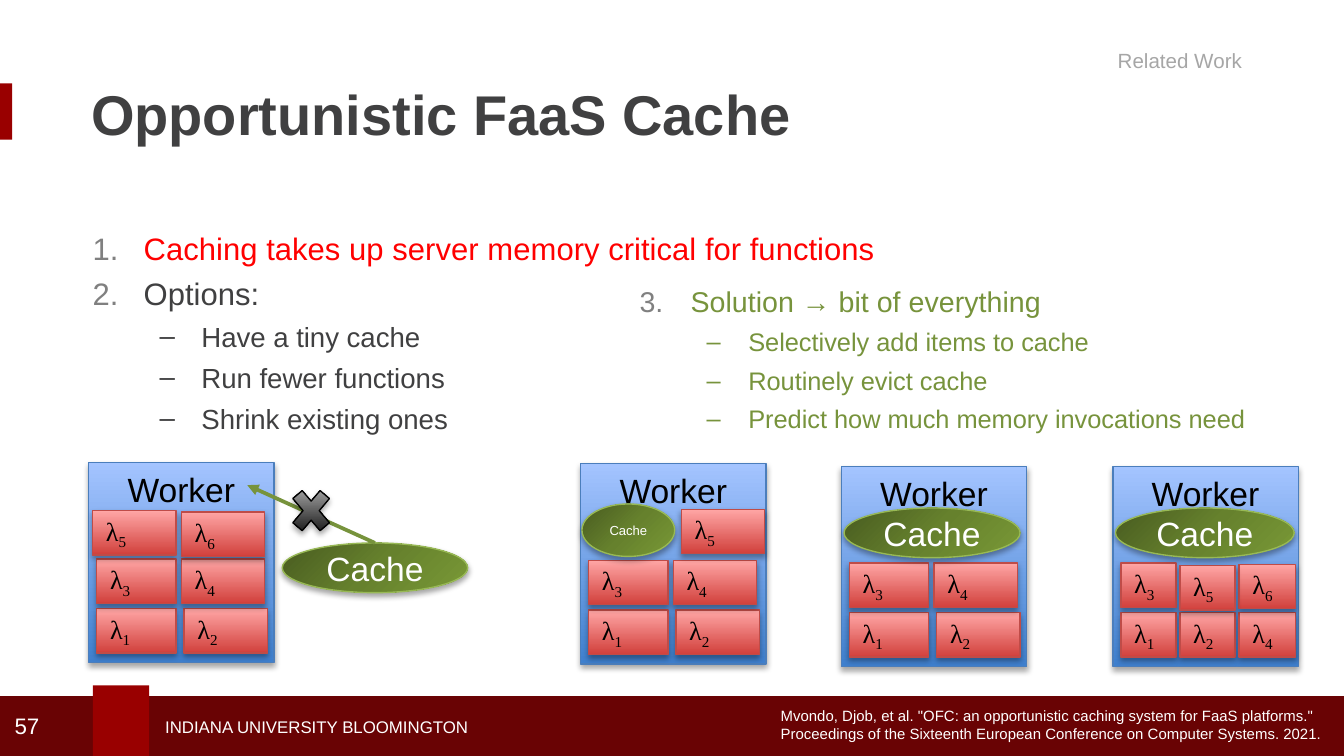
import dataclasses

import lxml.etree
import pptx
import pptx.dml.color
import pptx.enum.shapes
import pptx.enum.text
import pptx.oxml.ns
import pptx.util

Inches = pptx.util.Inches
Pt = pptx.util.Pt
qn = pptx.oxml.ns.qn
Shape = pptx.enum.shapes.MSO_SHAPE
Align = pptx.enum.text.PP_ALIGN
Anchor = pptx.enum.text.MSO_ANCHOR


@dataclasses.dataclass(frozen=True)
class Theme:
    font: str = "Arial"
    symbol_font: str = "Times New Roman"
    # Colours
    crimson: str = "990000"
    maroon: str = "690304"
    white: str = "FFFFFF"
    black: str = "000000"
    dark: str = "404041"
    muted: str = "A6A6A6"
    number: str = "808080"
    red: str = "FF0000"
    green: str = "77933C"
    # Gradient stops, angle in degrees, outline
    worker: tuple = (((0, "3F80CE"), (100, "A4C4FF")), 270, "4B7EBC")
    function: tuple = (((0, "D1403C"), (100, "FFA6A5")), 270, "BF4C48")
    cache: tuple = (((0, "485B20"), (50, "66812D"), (100, "799936")), 45, "98B955")
    cross: tuple = (((0, "000000"), (100, "BDBDBD")), 270, "000000")
    # Type sizes
    title: float = 30
    label: float = 18
    symbol: float = 14
    page: float = 12
    section: float = 11
    footer: float = 9
    citation: float = 8
    small_cache: float = 7
    left_list: tuple = (16.65, 14.8)
    right_list: tuple = (15.3, 13.6)


THEME = Theme()


def rgb(color):
    return pptx.dml.color.RGBColor.from_string(color)


def add_xml(parent, tag, **attributes):
    element = lxml.etree.SubElement(parent, qn(tag))
    for name, value in attributes.items():
        element.set(name, str(value))
    return element


def write_text(paragraph, text, *, size, color, font=THEME.font, bold=False,
               align=None, subscript=False):
    run = paragraph.add_run()
    run.text = text
    run.font.name = font
    run.font.size = Pt(size)
    run.font.bold = bold
    run.font.color.rgb = rgb(color)
    if align is not None:
        paragraph.alignment = align
    if subscript:
        run._r.get_or_add_rPr().set("baseline", "-25000")


def add_box(slide, box, anchor=Anchor.TOP):
    frame = slide.shapes.add_textbox(*map(Inches, box)).text_frame
    frame.word_wrap = True
    frame.vertical_anchor = anchor
    return frame


def add_label(slide, box, *lines, anchor=Anchor.TOP, **text_format):
    frame = add_box(slide, box, anchor)
    for index, line in enumerate(lines):
        paragraph = frame.add_paragraph() if index else frame.paragraphs[0]
        write_text(paragraph, line, **text_format)


def add_bar(slide, box, color):
    shape = slide.shapes.add_shape(Shape.RECTANGLE, *map(Inches, box))
    shape.shadow.inherit = False
    shape.fill.solid()
    shape.fill.fore_color.rgb = rgb(color)
    shape.line.fill.background()


def add_glossy(slide, kind, box, style, anchor=Anchor.MIDDLE):
    """Add a gradient shape with a soft shadow; return its first paragraph."""
    stops, angle, outline = style
    shape = slide.shapes.add_shape(kind, *map(Inches, box))
    shape.fill.gradient()
    shape.fill.gradient_angle = 360 - angle
    stop_list = shape._element.spPr.find(".//" + qn("a:gsLst"))
    for stop in list(stop_list):
        stop_list.remove(stop)
    for position, color in stops:
        stop = add_xml(stop_list, "a:gs", pos=position * 1000)
        add_xml(stop, "a:srgbClr", val=color)
    shape.line.color.rgb = rgb(outline)
    shape.line.width = Pt(0.75)
    # Shadow
    shape.shadow.inherit = False
    effects = shape._element.spPr.find(qn("a:effectLst"))
    shadow = add_xml(effects, "a:outerShdw", blurRad=Pt(3.1), dist=Pt(1.8),
                     dir=90 * 60000, rotWithShape=0)
    shade = add_xml(shadow, "a:srgbClr", val=THEME.black)
    add_xml(shade, "a:alpha", val=35000)
    shape.text_frame.word_wrap = True
    shape.text_frame.vertical_anchor = anchor
    return shape.text_frame.paragraphs[0]


def add_worker(slide, left, top, functions):
    """functions holds (number, x, y, width), measured from the worker's corner."""
    paragraph = add_glossy(slide, Shape.RECTANGLE, (left, top, 1.38, 1.49),
                           THEME.worker, Anchor.TOP)
    write_text(paragraph, "Worker", size=THEME.label, color=THEME.black, align=Align.CENTER)
    for number, x, y, width in functions:
        paragraph = add_glossy(slide, Shape.RECTANGLE, (left + x, top + y, width, 0.33),
                               THEME.function)
        for text, subscript in (("λ", False), (str(number), True)):
            write_text(paragraph, text, size=THEME.symbol, color=THEME.black,
                       font=THEME.symbol_font, align=Align.LEFT, subscript=subscript)


def add_cache(slide, box, size=THEME.label):
    paragraph = add_glossy(slide, Shape.OVAL, box, THEME.cache)
    write_text(paragraph, "Cache", size=size, color=THEME.white, align=Align.CENTER)


def add_list(slide, box, items, sizes, start=1):
    """items holds (level, text, color); level 0 is numbered, level 1 has dashes."""
    frame = add_box(slide, box)
    for index, (level, text, color) in enumerate(items):
        paragraph = frame.add_paragraph() if index else frame.paragraphs[0]
        paragraph.level = level
        paragraph.line_spacing = 0.9
        paragraph.space_after = Pt(6)
        properties = paragraph._p.get_or_add_pPr()
        margin, hanging = ((0.38, 0.38), (0.81, 0.31))[level]
        properties.set("marL", str(Inches(margin)))
        properties.set("indent", str(-Inches(hanging)))
        bullet_color = add_xml(properties, "a:buClr")
        add_xml(bullet_color, "a:srgbClr", val=color if level else THEME.number)
        add_xml(properties, "a:buFont", typeface=THEME.font)
        if level:
            add_xml(properties, "a:buChar", char="–")
        else:
            add_xml(properties, "a:buAutoNum", type="arabicPeriod", startAt=start)
        write_text(paragraph, text, size=sizes[level], color=color)


def add_arrow(slide, start, end):
    arrow = slide.shapes.add_connector(pptx.enum.shapes.MSO_CONNECTOR.STRAIGHT,
                                       *map(Inches, start + end))
    arrow.line.color.rgb = rgb(THEME.green)
    arrow.line.width = Pt(2)
    add_xml(arrow.line._get_or_add_ln(), "a:tailEnd", type="triangle")
    add_xml(arrow._element.spPr, "a:effectLst")


def main():
    # Widescreen slide, 16:9
    presentation = pptx.Presentation()
    presentation.slide_width = Inches(10)
    presentation.slide_height = Inches(10) * 9 // 16
    slide = presentation.slides.add_slide(presentation.slide_layouts[6])

    # Header and footer
    add_bar(slide, (0, 0.62, 0.09, 0.42), THEME.crimson)
    add_bar(slide, (-0.03, 5.18, 10.09, 0.5), THEME.maroon)
    add_bar(slide, (0.69, 5.1, 0.42, 0.58), THEME.crimson)
    add_label(slide, (1.13, 5.28, 3.95, 0.25), "INDIANA UNIVERSITY BLOOMINGTON",
              anchor=Anchor.MIDDLE, size=THEME.footer, color=THEME.white)
    add_label(slide, (0.58, 0.46, 8.75, 0.76), "Opportunistic FaaS Cache",
              anchor=Anchor.MIDDLE, size=THEME.title, color=THEME.dark, bold=True)
    add_label(slide, (5.29, 0.31, 4.05, 0.28), "Related Work",
              size=THEME.section, color=THEME.muted, align=Align.RIGHT)
    add_label(slide, (0.01, 5.25, 0.58, 0.3), "57",
              anchor=Anchor.MIDDLE, size=THEME.page, color=THEME.white)
    add_label(slide, (5.71, 5.21, 4.28, 0.37),
              'Mvondo, Djob, et al. "OFC: an opportunistic caching system for FaaS platforms."',
              "Proceedings of the Sixteenth European Conference on Computer Systems. 2021.",
              size=THEME.citation, color=THEME.white)

    # Problem and solution lists
    options = ("Have a tiny cache", "Run fewer functions", "Shrink existing ones")
    add_list(slide, (0.59, 1.69, 6.18, 1.65),
             [(0, "Caching takes up server memory critical for functions", THEME.red),
              (0, "Options:", THEME.dark)] + [(1, text, THEME.dark) for text in options],
             THEME.left_list)
    steps = ("Selectively add items to cache", "Routinely evict cache",
             "Predict how much memory invocations need")
    add_list(slide, (4.66, 2.09, 5.01, 1.23),
             [(0, "Solution → bit of everything", THEME.green)]
             + [(1, text, THEME.green) for text in steps], THEME.right_list, start=3)

    # Full worker that rejects the cache
    four = [(1, 0.06, 1.09, 0.59), (2, 0.71, 1.09, 0.62),
            (3, 0.06, 0.72, 0.59), (4, 0.69, 0.72, 0.62)]
    add_worker(slide, 0.66, 3.44, four + [(6, 0.69, 0.37, 0.62), (5, 0.03, 0.36, 0.62)])
    add_cache(slide, (2.1, 4.04, 1.38, 0.37))
    add_arrow(slide, (2.79, 4.04), (1.84, 3.61))
    add_glossy(slide, Shape.MATH_MULTIPLY, (2.12, 3.57, 0.39, 0.46), THEME.cross)

    # Tiny cache, fewer functions, shrunken functions
    add_worker(slide, 4.32, 3.45, four + [(5, 0.75, 0.34, 0.62)])
    add_cache(slide, (4.33, 3.75, 0.69, 0.39), THEME.small_cache)
    add_worker(slide, 6.26, 3.47, four)
    add_cache(slide, (6.28, 3.78, 1.31, 0.37))
    add_worker(slide, 8.28, 3.47,
               [(1, 0.06, 1.09, 0.41), (2, 0.5, 1.09, 0.41), (3, 0.06, 0.72, 0.41),
                (4, 0.94, 1.09, 0.42), (6, 0.94, 0.73, 0.42), (5, 0.5, 0.74, 0.41)])
    add_cache(slide, (8.3, 3.78, 1.33, 0.37))

    presentation.save("out.pptx")


if __name__ == "__main__":
    main()
